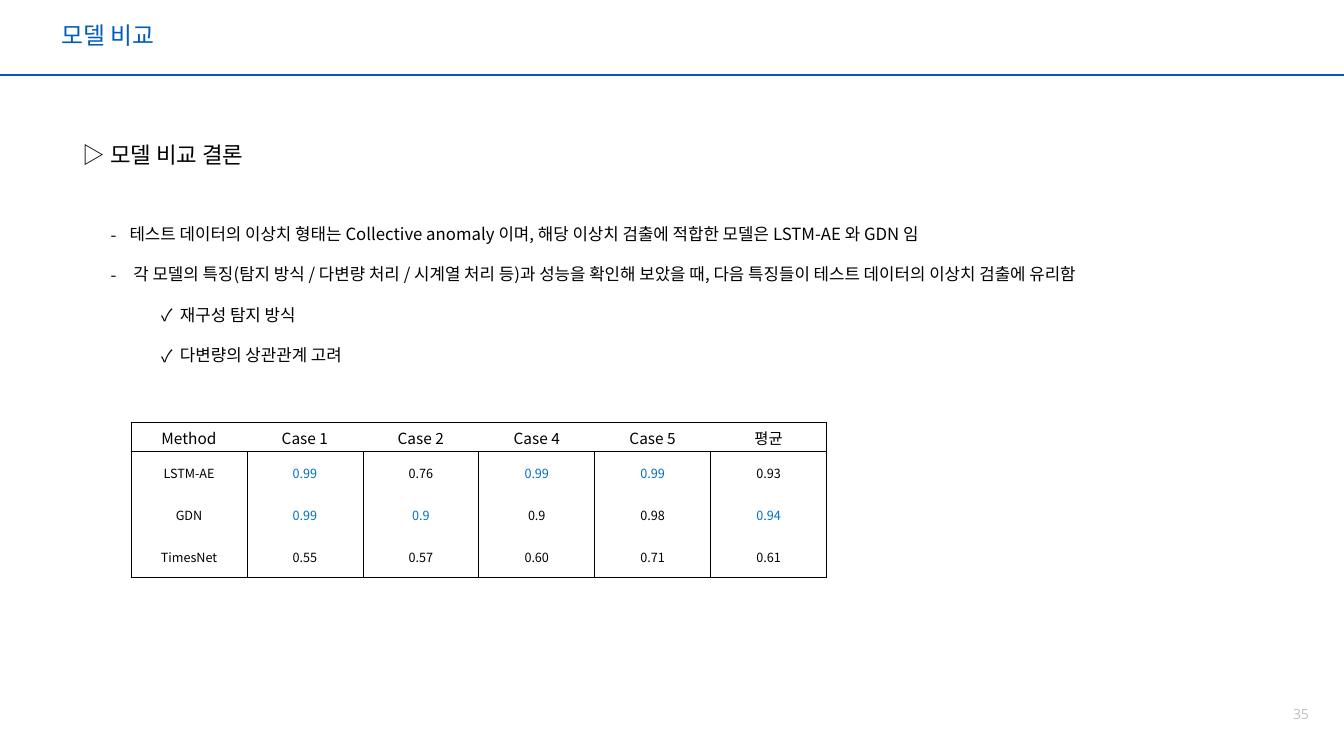
import pptx
import pptx.util
import pptx.dml.color
import pptx.enum.shapes
import pptx.enum.text
import pptx.oxml
import pptx.oxml.ns

Pt = pptx.util.Pt
qn = pptx.oxml.ns.qn
ALIGN = pptx.enum.text.PP_ALIGN
ANCHOR = pptx.enum.text.MSO_ANCHOR

WIDE, HIGH = 960, 540
FONT = "Noto Sans CJK KR"
COLORS = {"title": "005EB8", "text": "000000", "best": "0070C0", "page": "BFBFBF"}
POINTS = [
    (0, "테스트 데이터의 이상치 형태는 Collective anomaly 이며, 해당 이상치 검출에 적합한 모델은 LSTM-AE 와 GDN 임"),
    (0, " 각 모델의 특징(탐지 방식 / 다변량 처리 / 시계열 처리 등)과 성능을 확인해 보았을 때, "
        "다음 특징들이 테스트 데이터의 이상치 검출에 유리함"),
    (1, "재구성 탐지 방식"),
    (1, "다변량의 상관관계 고려"),
]
BULLETS = "-✓"
SCORES = [
    ["Method", "Case 1", "Case 2", "Case 4", "Case 5", "평균"],
    ["LSTM-AE", "0.99", "0.76", "0.99", "0.99", "0.93"],
    ["GDN", "0.99", "0.9", "0.9", "0.98", "0.94"],
    ["TimesNet", "0.55", "0.57", "0.60", "0.71", "0.61"],
]


def add_run(para, text, size, color="text", face=FONT):
    run = para.add_run()
    run.text = text
    font = run.font
    font.size = Pt(size)
    font.color.rgb = pptx.dml.color.RGBColor.from_string(COLORS[color])
    font.name = face
    east = pptx.oxml.parse_xml(
        f'<a:ea {pptx.oxml.ns.nsdecls("a")} typeface="{face}"/>')
    font._element.append(east)


def add_frame(slide, box, pads=(7.2, 3.6), wrap=True):
    """Add an empty text box with side and top pads; return its frame."""
    frame = slide.shapes.add_textbox(*map(Pt, box)).text_frame
    frame.word_wrap = wrap
    frame.margin_left = frame.margin_right = Pt(pads[0])
    frame.margin_top = frame.margin_bottom = Pt(pads[1])
    return frame


def add_title(slide, box, rule):
    line = slide.shapes.add_connector(
        pptx.enum.shapes.MSO_CONNECTOR.STRAIGHT, 0, Pt(rule), Pt(WIDE), Pt(rule))
    line.line.color.rgb = pptx.dml.color.RGBColor.from_string(COLORS["title"])
    line.line.width = Pt(1.5)
    line._element.spPr.append(pptx.oxml.parse_xml(
        f'<a:effectLst {pptx.oxml.ns.nsdecls("a")}/>'))
    frame = add_frame(slide, box, (6, 3))
    frame.vertical_anchor = ANCHOR.MIDDLE
    para = frame.paragraphs[0]
    para.line_spacing = 0.9
    add_run(para, "모델 비교", 17, "title")


def add_head(slide, box):
    add_run(add_frame(slide, box).paragraphs[0], "▷ 모델 비교 결론", 16)


def add_points(slide, box):
    frame = add_frame(slide, box)
    for i, (level, text) in enumerate(POINTS):
        para = frame.add_paragraph() if i else frame.paragraphs[0]
        props = para._p.get_or_add_pPr()
        props.set("marL", str(Pt(13.5 + 36 * level)))
        props.set("indent", str(Pt(-13.5)))
        props.append(pptx.oxml.parse_xml(
            f'<a:buFont {pptx.oxml.ns.nsdecls("a")} typeface="{FONT}"/>'))
        props.append(pptx.oxml.parse_xml(
            f'<a:buChar {pptx.oxml.ns.nsdecls("a")} char="{BULLETS[level]}"/>'))
        para.level = level
        para.line_spacing = 2.0
        add_run(para, text, 12)


def set_edges(cell, drawn):
    """Draw the cell sides named in drawn (of L, R, T, B), clear the rest."""
    props = cell._tc.get_or_add_tcPr()
    for side in "LRTB":
        fill = (f'<a:solidFill><a:srgbClr val="{COLORS["text"]}"/></a:solidFill>'
                if side in drawn else "<a:noFill/>")
        props.append(pptx.oxml.parse_xml(
            f'<a:ln{side} {pptx.oxml.ns.nsdecls("a")} w="{Pt(0.5)}">{fill}</a:ln{side}>'))
    cell.fill.background()


def add_scores(slide, box, head):
    """Add the score table; the best score of each column is blue."""
    rows, cols = len(SCORES), len(SCORES[0])
    table = slide.shapes.add_table(rows, cols, *map(Pt, box)).table
    table.first_row = table.horz_banding = False
    for col in table.columns:
        col.width = Pt(box[2] / cols)
    for r, row in enumerate(table.rows):
        row.height = Pt((box[3] - head) / (rows - 1) if r else head)
    best = [max(map(float, col[1:])) for col in list(zip(*SCORES))[1:]]
    for r, row in enumerate(SCORES):
        for c, text in enumerate(row):
            cell = table.cell(r, c)
            cell.margin_left = cell.margin_right = cell.margin_top = Pt(0.7)
            cell.margin_bottom = 0
            cell.vertical_anchor = ANCHOR.MIDDLE
            if r:
                edges = "LR" + "T" * (r == 1) + "B" * (r == rows - 1)
            else:
                edges = "TB" + "L" * (c == 0) + "R" * (c == cols - 1)
            set_edges(cell, edges)
            top = r and c and float(text) == best[c - 1]
            para = cell.text_frame.paragraphs[0]
            para.alignment = ALIGN.CENTER
            add_run(para, text, 9 if r else 11, "best" if top else "text")


def add_page(slide, box):
    para = add_frame(slide, box, (0, 0), False).paragraphs[0]
    para.alignment = ALIGN.RIGHT
    add_run(para, "35", 10, "page", "Open Sans")


def main():
    deck = pptx.Presentation()
    deck.slide_width, deck.slide_height = Pt(WIDE), Pt(HIGH)
    slide = deck.slides.add_slide(deck.slide_layouts[6])
    add_title(slide, (38, 8.5, 898, 36), 53.5)
    add_page(slide, (923.5, 504, 11.5, 12))
    add_head(slide, (52, 97, 481, 27))
    add_points(slide, (72, 142, 750, 119.5))
    add_scores(slide, (93.6, 301.5, 496.8, 111), 21)
    deck.save("out.pptx")


if __name__ == "__main__":
    main()
